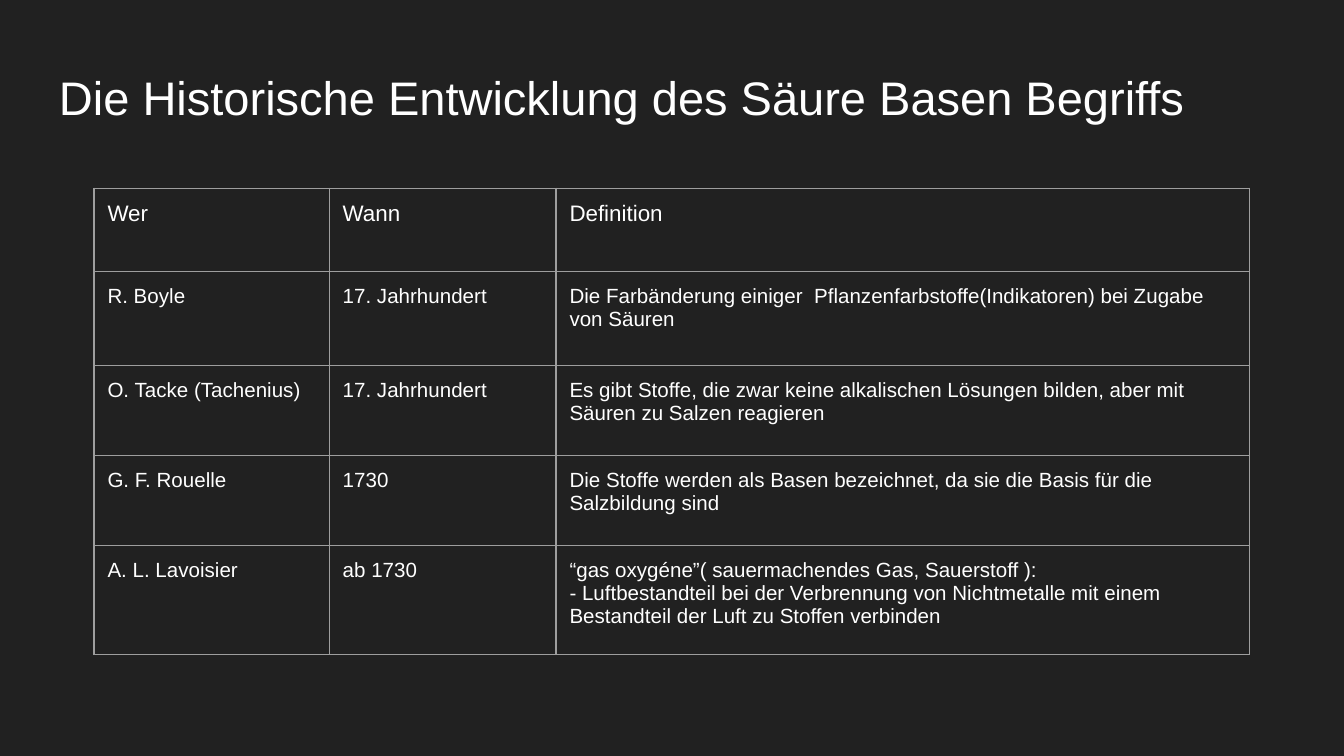
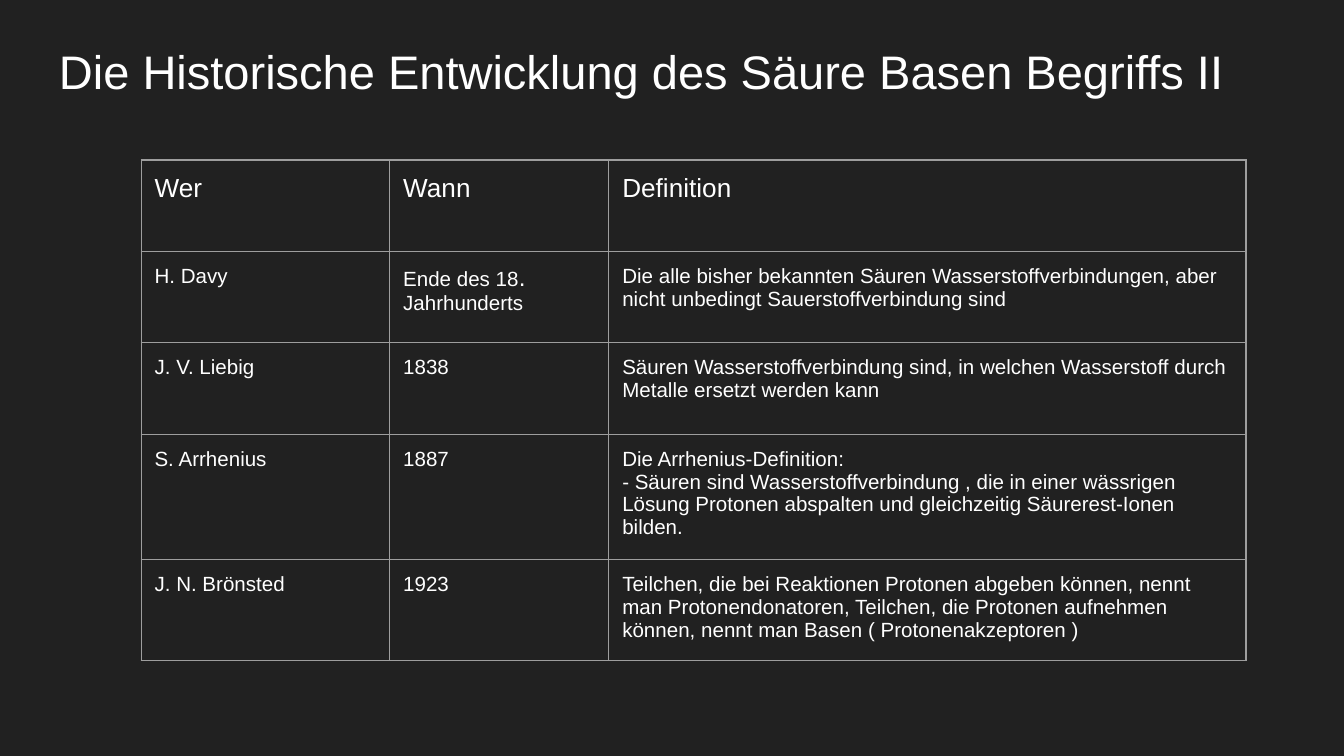
from lxml.etree import SubElement
from pptx import Presentation
from pptx.dml.color import RGBColor
from pptx.enum.text import MSO_ANCHOR
from pptx.oxml.ns import qn
from pptx.util import Pt

COLORS = {"background": "212121", "text": "FFFFFF", "border": "9E9E9E"}
FONT = "Arial"
INSET = Pt(7.2)
BODY_SIZE = 11
HEADER = ("Wer", "Wann", "Definition")


def style_font(font, size):
    font.name = FONT
    font.size = Pt(size)
    font.color.rgb = RGBColor.from_string(COLORS["text"])


def add_borders(cell):
    tcPr = cell._tc.get_or_add_tcPr()
    for side in ("lnL", "lnR", "lnT", "lnB"):
        ln = SubElement(tcPr, qn(f"a:{side}"), w=str(Pt(0.75)))
        fill = SubElement(ln, qn("a:solidFill"))
        SubElement(fill, qn("a:srgbClr"), val=COLORS["border"])


# Content: a cell is a string (one paragraph per line) or a list of (text, size) runs
slides = [
    {
        "title": "Die Historische Entwicklung des Säure Basen Begriffs",
        "title_top": 29.5,
        "table_at": (50.4, 100.8),
        "header_size": 12,
        "columns": (126, 121.5, 371.5),
        "rows": (44.6, 50.4, 48.2, 48.2, 58.3),
        "people": [
            ("R. Boyle", "17. Jahrhundert",
             "Die Farbänderung einiger  Pflanzenfarbstoffe(Indikatoren) bei Zugabe von Säuren"),
            ("O. Tacke (Tachenius)", "17. Jahrhundert",
             "Es gibt Stoffe, die zwar keine alkalischen Lösungen bilden, aber mit "
             "Säuren zu Salzen reagieren"),
            ("G. F. Rouelle", "1730",
             "Die Stoffe werden als Basen bezeichnet, da sie die Basis für die Salzbildung sind"),
            ("A. L. Lavoisier", "ab 1730",
             "“gas oxygéne”( sauermachendes Gas, Sauerstoff ):\n"
             "- Luftbestandteil bei der Verbrennung von Nichtmetalle mit einem "
             "Bestandteil der Luft zu Stoffen verbinden"),
        ],
    },
    {
        "title": "Die Historische Entwicklung des Säure Basen Begriffs II",
        "title_top": 15.8,
        "table_at": (75.6, 85.7),
        "header_size": 14,
        "columns": (133.2, 117.4, 341.3),
        "rows": (49, 49, 49, 46.8, 49),
        "people": [
            ("H. Davy", [("Ende des 18", 11), (". ", 13), ("Jahrhunderts", 11)],
             "Die alle bisher bekannten Säuren Wasserstoffverbindungen, aber nicht "
             "unbedingt Sauerstoffverbindung sind"),
            ("J. V. Liebig", "1838",
             "Säuren Wasserstoffverbindung sind, in welchen Wasserstoff durch Metalle "
             "ersetzt werden kann"),
            ("S. Arrhenius", "1887",
             "Die Arrhenius-Definition:\n"
             "- Säuren sind Wasserstoffverbindung , die in einer wässrigen Lösung "
             "Protonen abspalten und gleichzeitig Säurerest-Ionen bilden."),
            ("J. N. Brönsted", "1923",
             "Teilchen, die bei Reaktionen Protonen abgeben können, nennt man "
             "Protonendonatoren, Teilchen, die Protonen aufnehmen können, nennt man "
             "Basen ( Protonenakzeptoren )"),
        ],
    },
]

prs = Presentation()
prs.slide_width, prs.slide_height = Pt(720), Pt(405)

# Shared background on the master
background = prs.slide_master.background.fill
background.solid()
background.fore_color.rgb = RGBColor.from_string(COLORS["background"])

for content in slides:
    s = prs.slides.add_slide(prs.slide_layouts[6])

    # Title
    sp = s.shapes.add_textbox(Pt(24.5), Pt(content["title_top"]), Pt(671), Pt(45.4))
    tf = sp.text_frame
    tf.word_wrap = True
    tf.vertical_anchor = MSO_ANCHOR.TOP
    tf.margin_left = tf.margin_right = tf.margin_top = tf.margin_bottom = INSET
    p = tf.paragraphs[0]
    p.text = content["title"]
    style_font(p.font, 25.2)

    # Table grid
    columns, rows = content["columns"], content["rows"]
    left, top = content["table_at"]
    table = s.shapes.add_table(len(rows), len(columns), Pt(left), Pt(top),
                               Pt(sum(columns)), Pt(sum(rows))).table
    table.first_row = table.horz_banding = False
    for column, width in zip(table.columns, columns):
        column.width = Pt(width)
    for row, height in zip(table.rows, rows):
        row.height = Pt(height)

    # Table cells
    for i, values in enumerate([HEADER] + content["people"]):
        size = content["header_size"] if i == 0 else BODY_SIZE
        for j, value in enumerate(values):
            cell = table.cell(i, j)
            cell.margin_left = cell.margin_right = INSET
            cell.margin_top = cell.margin_bottom = INSET
            add_borders(cell)
            cell.fill.background()
            tf = cell.text_frame
            if isinstance(value, str):
                tf.text = value
                for p in tf.paragraphs:
                    style_font(p.font, size)
            else:
                for text, run_size in value:
                    r = tf.paragraphs[0].add_run()
                    r.text = text
                    style_font(r.font, run_size)

prs.save("out.pptx")
